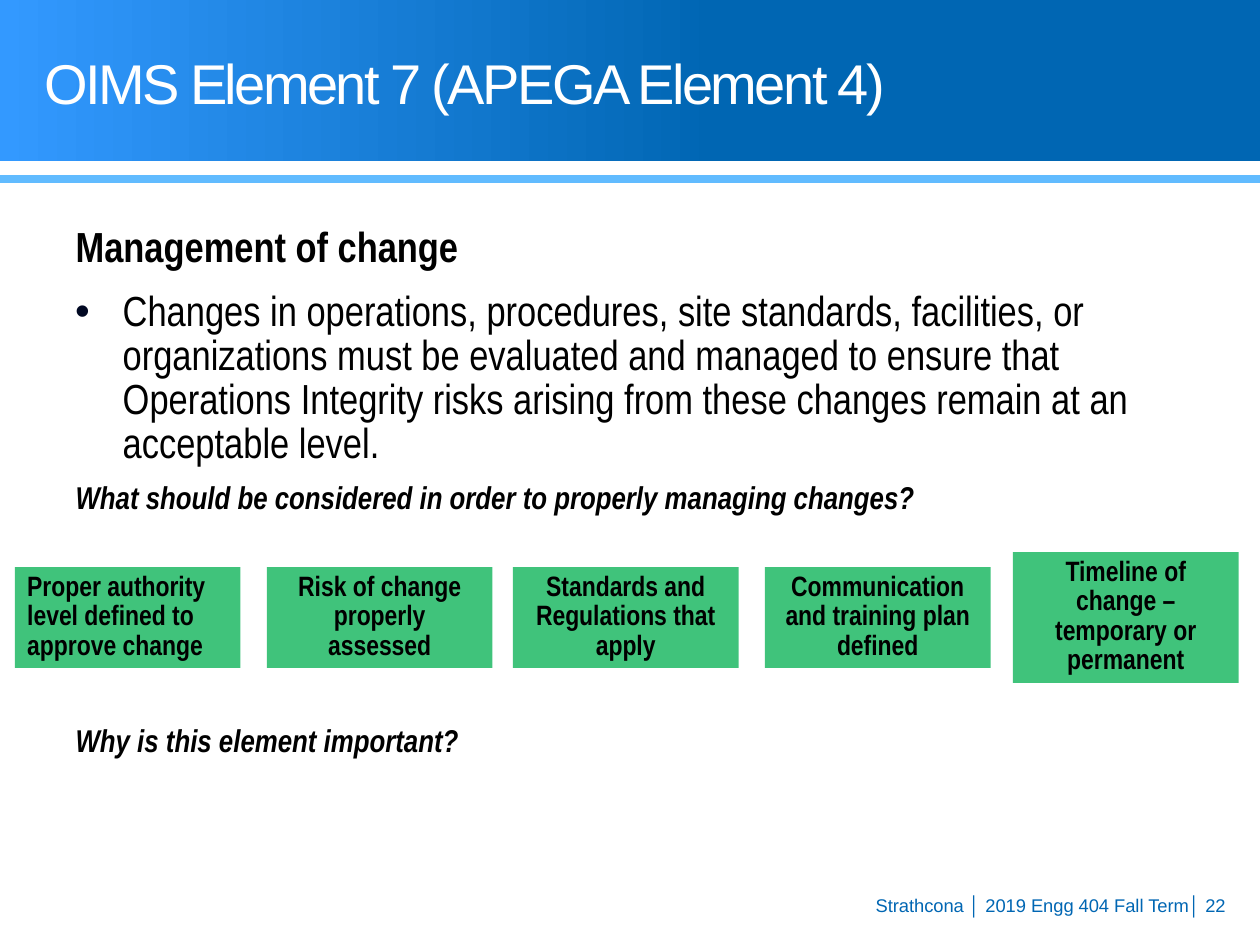
import copy
from dataclasses import dataclass

import pptx
import pptx.util
from pptx.dml.color import RGBColor
from pptx.enum.shapes import MSO_CONNECTOR, MSO_SHAPE
from pptx.enum.text import MSO_ANCHOR, MSO_AUTO_SIZE, PP_ALIGN
from pptx.oxml import parse_xml
from pptx.oxml.ns import nsdecls, qn

Cm = pptx.util.Cm
Pt = pptx.util.Pt

SKY = RGBColor(0x33, 0x99, 0xFF)
BLUE = RGBColor(0x00, 0x66, 0xB3)
PALE_BLUE = RGBColor(0x61, 0xBB, 0xFF)
NAVY = RGBColor(0x00, 0x08, 0x22)
GREEN = RGBColor(0x00, 0xB0, 0x50)
BLACK = RGBColor(0, 0, 0)
WHITE = RGBColor(255, 255, 255)

SLIDE_WIDTH = 25.4
LINE_SPACING = 0.87
FACTOR_CENTRE = 12.45
FACTOR_WIDTH = 4.55


@dataclass
class Passage:
    text: str
    size: int
    bold: bool = False
    italic: bool = False
    bullet: bool = False
    before: float = 0


@dataclass
class Factor:
    text: str
    left: float
    height: float = 2.03
    align: PP_ALIGN = PP_ALIGN.CENTER


PASSAGES = [
    Passage("Management of change", 24, bold=True),
    Passage("Changes in operations, procedures, site standards, facilities, or "
            "organizations must be evaluated and managed to ensure that Operations "
            "Integrity risks arising from these changes remain at an acceptable level.",
            24, bullet=True, before=12),
    Passage("What should be considered in order to properly managing changes?",
            18, bold=True, italic=True, before=9),
    Passage("Why is this element important?", 18, bold=True, italic=True, before=120),
]

FACTORS = [
    Factor("Proper authority level defined to approve change", 0.3, align=PP_ALIGN.LEFT),
    Factor("Risk of change properly assessed", 5.38),
    Factor("Standards and Regulations that apply", 10.34),
    Factor("Communication and training plan defined", 15.42),
    Factor("Timeline of change – temporary or permanent", 20.42, height=2.64),
]


def place(shape, left: float, top: float, width: float, height: float) -> None:
    shape.left, shape.top = Cm(left), Cm(top)
    shape.width, shape.height = Cm(width), Cm(height)


def add_run(paragraph, text: str, font_name: str, size: float, colour: RGBColor,
            bold: bool = False, italic: bool = False):
    run = paragraph.add_run()
    run.text = text
    run.font.name = font_name
    run.font.size = Pt(size)
    run.font.color.rgb = colour
    run.font.bold = bold
    run.font.italic = italic
    return run


def set_bullet(paragraph, bulleted: bool) -> None:
    properties = paragraph._p.get_or_add_pPr()
    indent = Cm(0.95) if bulleted else 0
    properties.set("marL", str(indent))
    properties.set("indent", str(-indent))
    if bulleted:
        marks = [f'<a:buClr {nsdecls("a")}><a:srgbClr val="{NAVY}"/></a:buClr>',
                 f'<a:buFont {nsdecls("a")} typeface="Arial"/>',
                 f'<a:buChar {nsdecls("a")} char="•"/>']
    else:
        marks = [f'<a:buNone {nsdecls("a")}/>']
    for mark in marks:
        properties.append(parse_xml(mark))


def add_header(slide) -> None:
    """Draw the gradient band and the rule behind the placeholders."""
    band = slide.shapes.add_shape(MSO_SHAPE.RECTANGLE, 0, 0, Cm(SLIDE_WIDTH), Cm(3.25))
    band.shadow.inherit = False
    band.line.fill.background()
    band.fill.gradient()
    band.fill.gradient_angle = 0
    for stop, position, colour in zip(band.fill.gradient_stops, (0, 0.57), (SKY, BLUE)):
        stop.position = position
        stop.color.rgb = colour
    stops = band._element.spPr.find(".//" + qn("a:gsLst"))
    end_stop = copy.deepcopy(stops[-1])
    end_stop.set("pos", "100000")
    stops.append(end_stop)

    rule = slide.shapes.add_connector(
        MSO_CONNECTOR.STRAIGHT, 0, Cm(3.61), Cm(SLIDE_WIDTH), Cm(3.61))
    rule.line.color.rgb = PALE_BLUE
    rule.line.width = Pt(4.5)
    rule._element.spPr.append(parse_xml(f'<a:effectLst {nsdecls("a")}/>'))

    for index, part in enumerate((band, rule), start=2):
        slide.shapes._spTree.insert(index, part._element)


def fill_title(title) -> None:
    place(title, 0.64, 0.25, 22.91, 3)
    frame = title.text_frame
    frame.auto_size = MSO_AUTO_SIZE.NONE
    frame.vertical_anchor = MSO_ANCHOR.MIDDLE
    heading = frame.paragraphs[0]
    heading.alignment = PP_ALIGN.LEFT
    heading.line_spacing = LINE_SPACING
    run = add_run(heading, "OIMS Element 7 (APEGA Element 4)", "Arial", 32, WHITE)
    run._r.get_or_add_rPr().set("spc", "-150")


def fill_body(body) -> None:
    place(body, 1.27, 4.45, 23.22, 12.95)
    frame = body.text_frame
    frame.auto_size = MSO_AUTO_SIZE.NONE
    frame.vertical_anchor = MSO_ANCHOR.TOP
    for index, passage in enumerate(PASSAGES):
        paragraph = frame.add_paragraph() if index else frame.paragraphs[0]
        set_bullet(paragraph, passage.bullet)
        paragraph.line_spacing = LINE_SPACING
        paragraph.space_before = Pt(passage.before)
        add_run(paragraph, passage.text, "Arial Narrow", passage.size, BLACK,
                passage.bold, passage.italic)


def add_factor(slide, factor: Factor) -> None:
    box = slide.shapes.add_shape(
        MSO_SHAPE.RECTANGLE, Cm(factor.left), Cm(FACTOR_CENTRE - factor.height / 2),
        Cm(FACTOR_WIDTH), Cm(factor.height))
    box.shadow.inherit = False
    box.line.fill.background()
    box.fill.solid()
    box.fill.fore_color.rgb = GREEN
    colour = box._element.spPr.find(".//" + qn("a:srgbClr"))
    colour.append(parse_xml(f'<a:alpha {nsdecls("a")} val="75000"/>'))
    frame = box.text_frame
    frame.word_wrap = True
    frame.vertical_anchor = MSO_ANCHOR.TOP
    paragraph = frame.paragraphs[0]
    paragraph.alignment = factor.align
    paragraph.line_spacing = LINE_SPACING
    add_run(paragraph, factor.text, "Arial Narrow", 16, BLACK, bold=True)


def add_footer(slide) -> None:
    footer = slide.shapes.add_textbox(Cm(17.35), Cm(17.91), Cm(7.62), Cm(0.71))
    footer.text_frame.word_wrap = True
    paragraph = footer.text_frame.paragraphs[0]
    paragraph.alignment = PP_ALIGN.RIGHT
    add_run(paragraph, "Strathcona │ 2019 Engg 404 Fall Term│ 22", "Arial", 10.5, BLUE)


def main() -> None:
    deck = pptx.Presentation()
    deck.slide_width, deck.slide_height = Cm(SLIDE_WIDTH), Cm(19.05)
    slide = deck.slides.add_slide(deck.slide_layouts[1])
    add_header(slide)
    fill_title(slide.shapes.title)
    fill_body(slide.placeholders[1])
    for factor in FACTORS:
        add_factor(slide, factor)
    add_footer(slide)
    deck.save("out.pptx")


if __name__ == "__main__":
    main()
